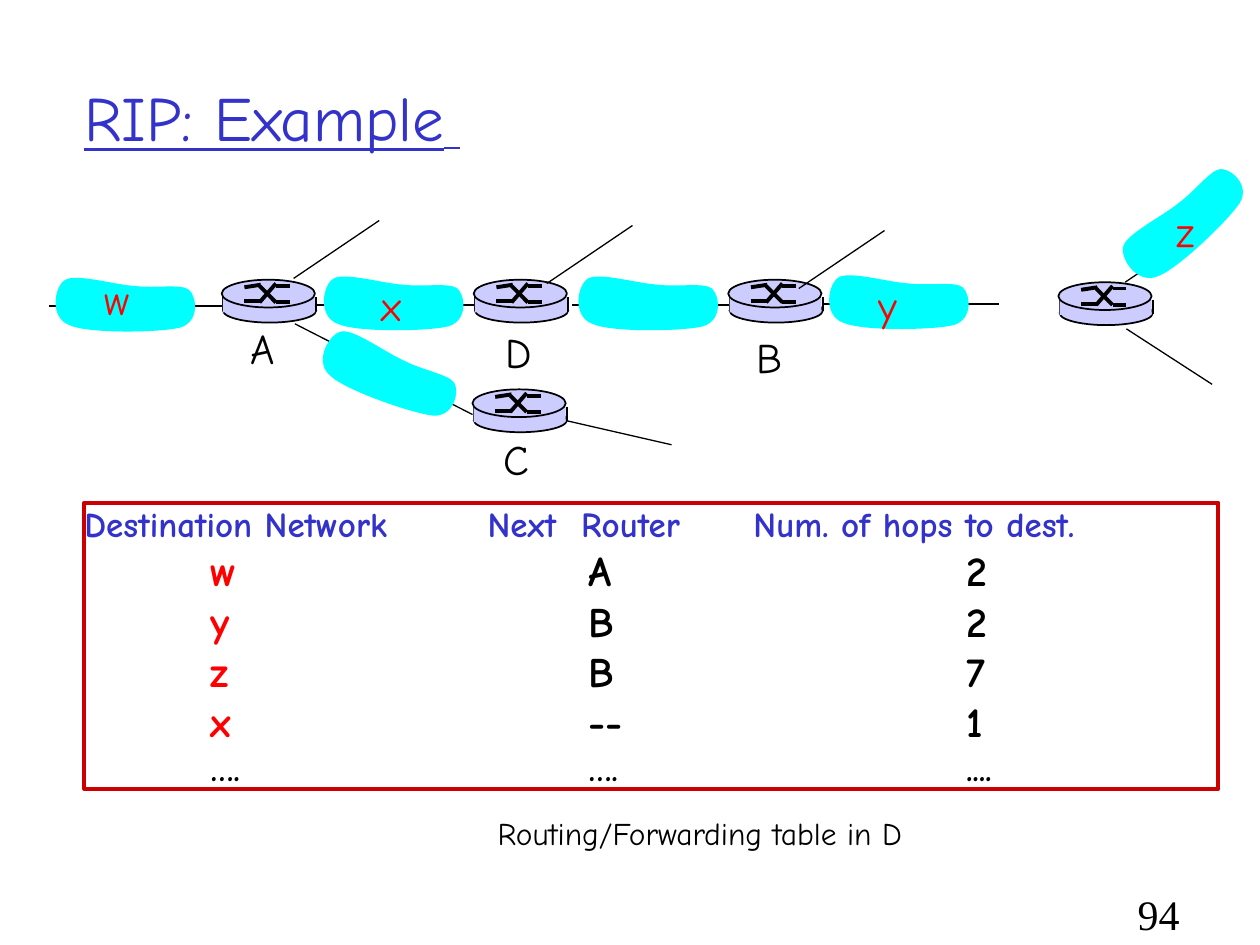
import lxml.etree
import pptx
import pptx.dml.color
import pptx.enum.shapes
import pptx.enum.text
import pptx.oxml.ns
import pptx.util

COLORS = {"title": "3333CC", "net": "FF0000", "ink": "000000", "frame": "CC0000",
          "cloud": "00FFFF", "router": "CCCCFF"}
FONT = "Comic Neue"
SHAPE = pptx.enum.shapes.MSO_SHAPE
ALIGN = pptx.enum.text.PP_ALIGN
ANCHOR = pptx.enum.text.MSO_ANCHOR
qn = pptx.oxml.ns.qn

# Cloud outline: start point, then the three points of each curve
CLOUD_SIZE = (1.2, .48)
CLOUD = [(.68, .10), (.52, .09), (.22, 0), (.13, .05), (.04, .10), (0, .35), (.16, .41),
         (.31, .48), (.88, .47), (1.04, .43), (1.20, .38), (1.17, .18), (1.11, .13),
         (1.05, .08), (.84, .12), (.68, .10)]
ARROWS = [(.18, .06, .31, .04), (.43, .18, .54, .18), (.30, .05, .43, .18),
          (.18, .17, .31, .17), (.43, .05, .54, .05), (.30, .18, .43, .03)]


def cm(inches):
    """Length in Cm for a position on the slide's inch grid."""
    return pptx.util.Cm(inches * 2.54)


def rgb(name):
    return pptx.dml.color.RGBColor.from_string(COLORS[name])


def add_run(p, text, size, color="ink", **fmt):
    r = p.add_run()
    r.text = text
    r.font.color.rgb = rgb(color)
    for key, value in {"name": FONT, "size": pptx.util.Pt(size), **fmt}.items():
        setattr(r.font, key, value)


def paint(sp, fill=None, line=None, width=1):
    sp.shadow.inherit = False
    if fill:
        sp.fill.solid()
        sp.fill.fore_color.rgb = rgb(fill)
    else:
        sp.fill.background()
    if line:
        sp.line.color.rgb = rgb(line)
        sp.line.width = pptx.util.Pt(width)
    else:
        sp.line.fill.background()


def add_line(shapes, x1, y1, x2, y2, width):
    c = shapes.add_connector(pptx.enum.shapes.MSO_CONNECTOR.STRAIGHT,
                             cm(x1), cm(y1), cm(x2), cm(y2))
    c.line.color.rgb = rgb("ink")
    c.line.width = pptx.util.Pt(width)
    sp_pr = c._element.find(qn("p:spPr"))
    lxml.etree.SubElement(sp_pr, qn("a:effectLst"))


def add_label(s, x, y, w, h, text, size=24, color="ink", **fmt):
    tf = s.shapes.add_textbox(cm(x), cm(y), cm(w), cm(h)).text_frame
    tf.word_wrap = False
    add_run(tf.paragraphs[0], text, size, color, **fmt)


def add_router(s, x, y):
    """Disc with crossed arrows; x, y is the corner of its top ellipse."""
    shapes = s.shapes.add_group_shape().shapes

    def part(kind, dx, dy, w, h, line):
        sp = shapes.add_shape(kind, cm(x + dx), cm(y + dy), cm(w), cm(h))
        paint(sp, "router", line)

    part(SHAPE.OVAL, .01, .15, .74, .19, "ink")
    for dx in (.01, .75):
        add_line(shapes, x + dx, y + .14, x + dx, y + .25, 1)
    part(SHAPE.RECTANGLE, .01, .14, .73, .12, None)
    part(SHAPE.OVAL, 0, 0, .74, .22, "ink")
    for x1, y1, x2, y2 in ARROWS:
        add_line(shapes, x + x1, y + y1, x + x2, y + y2, 2.25)


def add_cloud(s, x, y, rotation=0):
    """Freeform whose box is set by its corners, then outlined with curves."""
    w, h = CLOUD_SIZE
    fb = s.shapes.build_freeform(cm(x), cm(y))
    fb.add_line_segments([(cm(x + w), cm(y)), (cm(x + w), cm(y + h))], close=True)
    sp = fb.convert_to_shape()
    outline = sp._element.find(".//" + qn("a:path"))
    for child in list(outline):
        outline.remove(child)

    def step(tag, points=()):
        node = lxml.etree.SubElement(outline, qn(tag))
        for dx, dy in points:
            lxml.etree.SubElement(node, qn("a:pt"), x=str(int(cm(dx))), y=str(int(cm(dy))))

    step("a:moveTo", CLOUD[:1])
    for i in range(1, len(CLOUD), 3):
        step("a:cubicBezTo", CLOUD[i:i + 3])
    step("a:close")
    sp.rotation = rotation
    paint(sp, "cloud")


def add_title(s, x, y, w, h):
    sp = s.shapes.title
    sp.left, sp.top, sp.width, sp.height = cm(x), cm(y), cm(w), cm(h)
    tf = sp.text_frame
    tf.vertical_anchor = ANCHOR.MIDDLE
    p = tf.paragraphs[0]
    p.alignment = ALIGN.LEFT
    add_run(p, "RIP: Example", 36, "title", underline=True)
    add_run(p, " ", 28, "title", underline=True)


def add_network(s, x, y):
    """Routers, links and networks; x, y is the left end of the main line."""
    for dx, dy in ((0, 0), (2.13, -.01), (4.15, -.01), (6.14, -.02)):
        add_line(s.shapes, x + dx, y + dy, x + dx + 1.4, y + dy, 1)
    for dx, dy in ((3.37, -.21), (1.37, -.21), (3.36, .66), (5.39, -.21), (8.01, -.19)):
        add_router(s, x + dx, y + dy)
    for dx, dy in ((1.94, -.22), (3.95, -.18), (5.95, -.14), (8.54, -.19)):
        add_line(s.shapes, x + dx, y + dy, x + dx + .68, y + dy - .46, .75)
    for x1, y1, x2, y2 in ((8.55, .18, 9.23, .62), (1.95, .14, 3.36, .86),
                           (4.11, .91, 4.94, 1.10)):
        add_line(s.shapes, x + x1, y + y1, x + x2, y + y2, .75)
    for dx, dy, rotation in ((2.13, -.27, 0), (2.10, .30, 20), (0, -.26, 0),
                             (4.15, -.27, 0), (6.14, -.28, 0), (8.40, -.90, 317)):
        add_cloud(s, x + dx, y + dy, rotation)
    for text, dx, dy, w, color in (
            ("w", .34, -.31, .40, "net"), ("x", 2.54, -.26, .36, "net"),
            ("y", 6.48, -.26, .35, "net"), ("z", 8.85, -.85, .34, "net"),
            ("A", 1.50, .08, .39, "ink"), ("C", 3.51, .96, .40, "ink"),
            ("D", 3.52, .11, .41, "ink"), ("B", 5.52, .15, .40, "ink")):
        add_label(s, x + dx, y + dy, w, .5, text, color=color)


def set_tabs(p, stops):
    tabs = lxml.etree.SubElement(p._p.get_or_add_pPr(), qn("a:tabLst"))
    for stop in stops:
        lxml.etree.SubElement(tabs, qn("a:tab"), pos=str(int(cm(stop))), algn="l")


def add_routing_entries(s, x, y, w, h):
    """Framed text block with the entries set on tab stops."""
    sp = s.shapes.add_shape(SHAPE.RECTANGLE, cm(x), cm(y), cm(w), cm(h))
    paint(sp, line="frame", width=2.25)
    tf = sp.text_frame
    for key, value in {"margin_left": 0, "margin_right": 0, "margin_top": 0,
                       "margin_bottom": 0, "word_wrap": True,
                       "vertical_anchor": ANCHOR.TOP}.items():
        setattr(tf, key, value)
    header, entry = (3.2, 5.31), (1, 4, 7)
    rows = [(header, 20, [("Destination Network\tNext  Router\tNum. of hops to dest.",
                           "title")])]
    for net, router, hops in (("w", "A", "2"), ("y", "B", "2"), ("z", "B", "7"),
                              ("x", "--", "1")):
        rows.append((entry, 24, [(f"\t{net}\t", "net"), (f"{router}\t{hops}", "ink")]))
    rows.append((entry, 20, [("\t….\t….\t....", "ink")]))
    for i, (stops, size, runs) in enumerate(rows):
        p = tf.add_paragraph() if i else tf.paragraphs[0]
        p.alignment = ALIGN.LEFT
        set_tabs(p, stops)
        for text, color in runs:
            add_run(p, text, size, color, bold=True)


def main():
    prs = pptx.Presentation()
    prs.slide_width, prs.slide_height = cm(10), cm(7.5)
    s = prs.slides.add_slide(prs.slide_layouts[5])
    add_title(s, .57, .3, 8.5, 1.25)
    add_routing_entries(s, .67, 3.99, 9, 2.27)
    add_network(s, .39, 2.43)
    add_label(s, 3.85, 6.41, 3.45, .4, "Routing/Forwarding table in D", 18)
    add_label(s, 8.93, 7, .53, .5, "94", name="Times New Roman")
    prs.save("out.pptx")


if __name__ == "__main__":
    main()
